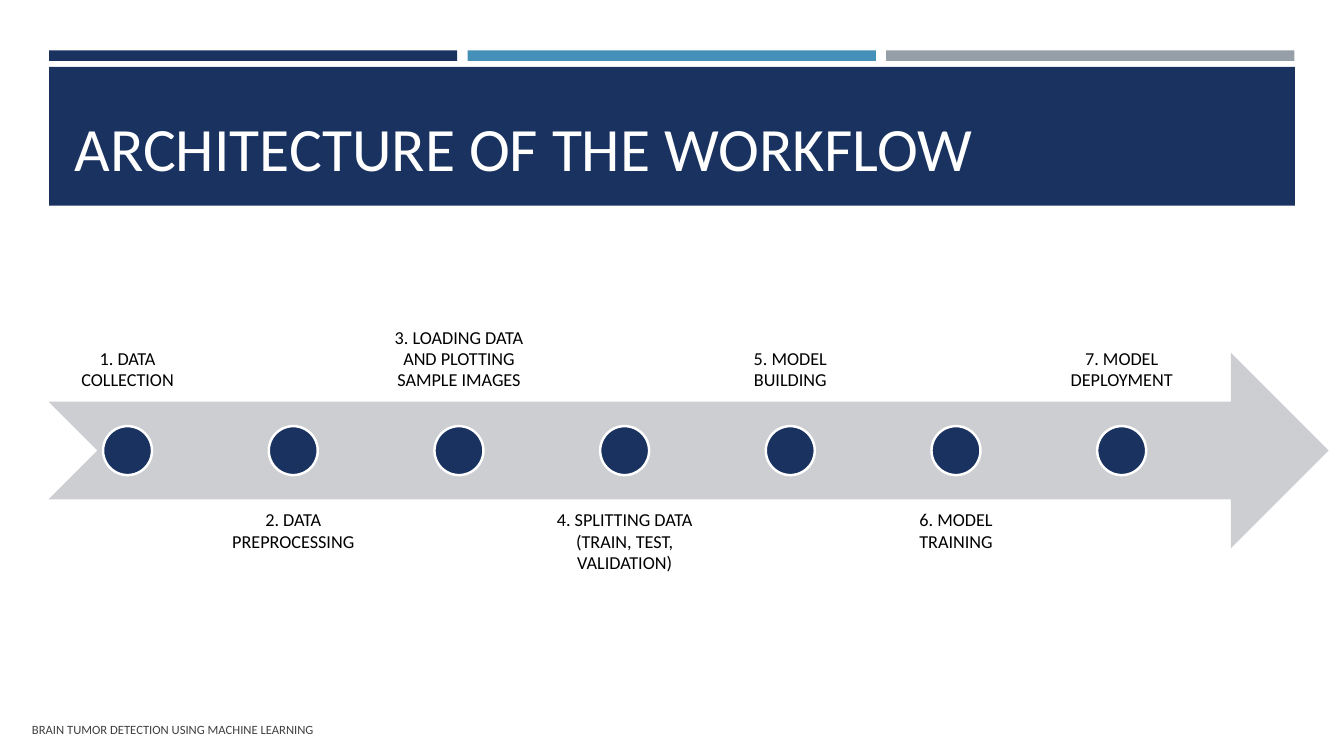
"""Build the workflow architecture slide with a seven-step timeline."""
from dataclasses import dataclass

from pptx import Presentation
from pptx import util as u
from pptx.dml.color import RGBColor
from pptx.enum import shapes, text


@dataclass(frozen=True)
class Theme:
    font: str = "Calibri"
    navy: str = "1A3260"
    blue: str = "4590B8"
    gray: str = "969FA7"
    arrow: str = "CDCED2"
    white: str = "FFFFFF"
    black: str = "000000"
    footer: str = "404040"
    title_size: float = 44
    label_size: float = 13
    footer_size: float = 9


class SlideBuilder:
    def __init__(self, slide, theme):
        self.slide = slide
        self.theme = theme

    def shape(self, kind, left, top, width, height, fill, outline=None):
        shape = self.slide.shapes.add_shape(kind, *map(u.Pt, (left, top, width, height)))
        shape.shadow.inherit = False
        shape.fill.solid()
        shape.fill.fore_color.rgb = RGBColor.from_string(fill)
        if outline:
            shape.line.color.rgb = RGBColor.from_string(outline)
            shape.line.width = u.Pt(1.75)
        else:
            shape.line.fill.background()
        return shape

    def set_text(self, shape, words, size, color, anchor, align, spacing=1.0):
        frame = shape.text_frame
        frame.text = words
        frame.word_wrap = True
        frame.auto_size = text.MSO_AUTO_SIZE.NONE
        frame.vertical_anchor = anchor
        paragraph = frame.paragraphs[0]
        paragraph.alignment = align
        paragraph.line_spacing = spacing
        for run in paragraph.runs:
            run.font.name = self.theme.font
            run.font.size = u.Pt(size)
            run.font.color.rgb = RGBColor.from_string(color)
        return frame

    def title(self, words, left, top, width, height):
        title = self.slide.shapes.title
        title.left, title.top, title.width, title.height = map(u.Pt, (left, top, width, height))
        self.set_text(title, words, self.theme.title_size, self.theme.white,
                      text.MSO_ANCHOR.BOTTOM, text.PP_ALIGN.LEFT)
        return title

    def text_box(self, words, left, top, width, height, size, color, anchor, align, spacing=1.0):
        box = self.slide.shapes.add_textbox(*map(u.Pt, (left, top, width, height)))
        return self.set_text(box, words, size, color, anchor, align, spacing)

    def step(self, words, center, middle, above):
        diameter, label_width, label_height = 35, 113, 139.7
        label_top = 146.9 if above else 357.1
        anchor = text.MSO_ANCHOR.BOTTOM if above else text.MSO_ANCHOR.TOP
        frame = self.text_box(words, center - label_width / 2, label_top, label_width,
                              label_height, self.theme.label_size, self.theme.black,
                              anchor, text.PP_ALIGN.CENTER, 0.97)
        frame.margin_top = frame.margin_bottom = u.Pt(7.2)
        frame.margin_left = frame.margin_right = u.Pt(7.2)
        self.shape(shapes.MSO_SHAPE.OVAL, center - diameter / 2, middle - diameter / 2,
                   diameter, diameter, self.theme.navy, self.theme.white)


STEPS = (
    "1. DATA COLLECTION",
    "2. DATA PREPROCESSING",
    "3. LOADING DATA AND PLOTTING SAMPLE IMAGES",
    "4. SPLITTING DATA (TRAIN, TEST, VALIDATION)",
    "5. MODEL BUILDING",
    "6. MODEL TRAINING",
    "7. MODEL DEPLOYMENT",
)

presentation = Presentation()
presentation.slide_width, presentation.slide_height = u.Pt(960), u.Pt(540)
theme = Theme()
slide = presentation.slides.add_slide(presentation.slide_layouts[5])
builder = SlideBuilder(slide, theme)

for index, color in enumerate((theme.navy, theme.blue, theme.gray)):
    builder.shape(shapes.MSO_SHAPE.RECTANGLE, 35 + index * 299, 36, 291.6, 7.6, color)
banner = builder.shape(shapes.MSO_SHAPE.RECTANGLE, 35, 47.8, 890, 99.2, theme.navy)
title = builder.title("ARCHITECTURE OF THE WORKFLOW", 46, 64, 868, 71)
banner.element.addnext(title.element)

arrow_top, arrow_height = 252, 139.7
builder.shape(shapes.MSO_SHAPE.NOTCHED_RIGHT_ARROW, 34.6, arrow_top, 914.4,
              arrow_height, theme.arrow)
for index, words in enumerate(STEPS):
    builder.step(words, 91.1 + index * 118.35, arrow_top + arrow_height / 2, index % 2 == 0)

builder.text_box("BRAIN TUMOR DETECTION USING MACHINE LEARNING", 15.8, 507, 384.5, 28.8,
                 theme.footer_size, theme.footer, text.MSO_ANCHOR.MIDDLE, text.PP_ALIGN.LEFT)

presentation.save("out.pptx")
